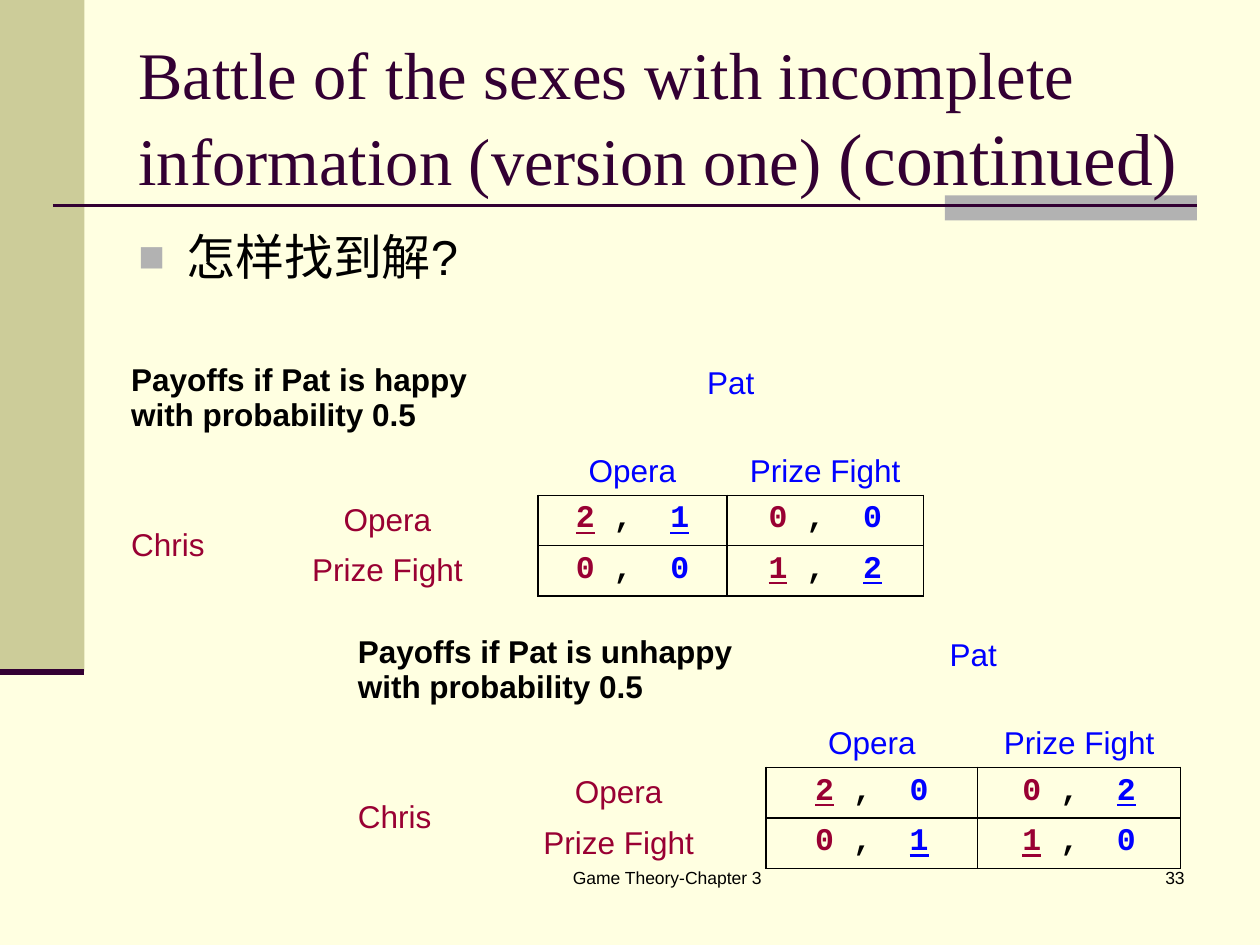
from pptx import Presentation
from pptx.dml.color import RGBColor
from pptx.enum.shapes import MSO_CONNECTOR as Conn, MSO_SHAPE as Kind
from pptx.enum.text import MSO_ANCHOR as Anchor, PP_ALIGN as Align
from pptx.oxml import parse_xml
from pptx.util import Inches, Pt

NS = 'xmlns:a="http://schemas.openxmlformats.org/drawingml/2006/main"'
HUE = {"page": "FFFFE1", "olive": "CCCC99", "gray": "B2B2B2", "plum": "330033",
       "black": "000000", "blue": "0000FF", "red": "990033"}


def write(para, text, size=18, font="Arial", hue="black", bold=False, under=False, align=Align.LEFT):
    para.alignment = align
    run = para.add_run()
    run.text = text
    run.font.size = Pt(size)
    run.font.name = font
    run.font.bold = bold
    run.font.underline = under
    run.font.color.rgb = RGBColor.from_string(HUE[hue])


def add_box(left, top, width, height, anchor=Anchor.TOP):
    frame = slide.shapes.add_textbox(Inches(left), Inches(top), Inches(width), Inches(height)).text_frame
    frame.word_wrap = True
    frame.vertical_anchor = anchor
    return frame.paragraphs[0]


deck = Presentation()
deck.slide_width, deck.slide_height = Inches(10), Inches(7.5)
slide = deck.slides.add_slide(deck.slide_layouts[6])
slide.background.fill.solid()
slide.background.fill.fore_color.rgb = RGBColor.from_string(HUE["page"])

for left, top, width, height, hue in [(0, 0, 0.67, 5.33, "olive"), (7.5, 1.55, 2, 0.2, "gray")]:
    bar = slide.shapes.add_shape(Kind.RECTANGLE, Inches(left), Inches(top), Inches(width), Inches(height))
    bar.shadow.inherit = False
    bar.fill.solid()
    bar.fill.fore_color.rgb = RGBColor.from_string(HUE[hue])
    bar.line.fill.background()

for start, end, top, weight in [(0.42, 9.5, 1.63, 1.5), (0, 0.67, 5.33, 3.5)]:
    rule = slide.shapes.add_connector(Conn.STRAIGHT, Inches(start), Inches(top), Inches(end), Inches(top))
    rule.line.color.rgb = RGBColor.from_string(HUE["plum"])
    rule.line.width = Pt(weight)
    rule._element.spPr.append(parse_xml(f"<a:effectLst {NS}/>"))

title = add_box(1, 0.3, 8.5, 1.25, Anchor.MIDDLE)
for text, size in [("Battle of the sexes with incomplete information (version one) ", 38), ("(continued)", 42)]:
    write(title, text, size=size, font="Times New Roman", hue="plum")

body = add_box(1, 1.75, 8.5, 0.73)
write(body, "怎样找到解?", size=28)
props = body._p.get_or_add_pPr()
props.set("marL", str(Inches(0.38)))
props.set("indent", str(Inches(-0.38)))
for mark in [f'<a:buClr {NS}><a:srgbClr val="{HUE["gray"]}"/></a:buClr>', f'<a:buSzPct {NS} val="90000"/>',
             f'<a:buFont {NS} typeface="Arial"/>', f'<a:buChar {NS} char="■"/>']:
    props.append(parse_xml(mark))

games = [
    ("unhappy", 2.74, 4.99, [1, 2.34, 1.68, 1.61], [["2_ 0", "0 2_"], ["0 1_", "1_ 0"]]),
    ("happy", 0.94, 2.83, [0.94, 2.39, 1.5, 1.56], [["2_ 1_", "0 0"], ["0 0", "1_ 2_"]]),
]
rows = [0.38, 0.66, 0.38, 0.38]
acts = ["Opera", "Prize Fight"]

for mood, left, top, cols, pays in games:
    grid = slide.shapes.add_table(4, 4, Inches(left), Inches(top), Inches(sum(cols)), Inches(sum(rows))).table
    grid.first_row = grid.horz_banding = False
    for i in range(4):
        grid.columns[i].width = Inches(cols[i])
        grid.rows[i].height = Inches(rows[i])
    for row in range(4):
        for col in range(4):
            cell = grid.cell(row, col)
            cell.fill.background()
            pay = row > 1 and col > 1
            sides = {"L": pay, "R": pay or (row > 1 and col == 1),
                     "T": pay, "B": pay or (row == 1 and col > 1)}
            for i, (side, drawn) in enumerate(sides.items()):
                fill = f'<a:solidFill><a:srgbClr val="{HUE["black"]}"/></a:solidFill>' if drawn else "<a:noFill/>"
                edge = parse_xml(f'<a:ln{side} {NS} w="{Pt(1)}">{fill}</a:ln{side}>')
                cell._tc.get_or_add_tcPr().insert(i, edge)
    for first, last in [((0, 0), (1, 1)), ((0, 2), (0, 3)), ((2, 0), (3, 0))]:
        grid.cell(*first).merge(grid.cell(*last))

    labels = [(0, 0, f"Payoffs if Pat is {mood} with probability 0.5", "black", Anchor.TOP),
              (0, 2, "Pat", "blue", Anchor.BOTTOM), (2, 0, "Chris", "red", Anchor.MIDDLE)]
    for i, act in enumerate(acts, 2):
        labels += [(1, i, act, "blue", Anchor.BOTTOM), (i, 1, act, "red", Anchor.MIDDLE)]
    for row, col, text, hue, anchor in labels:
        cell = grid.cell(row, col)
        cell.vertical_anchor = anchor
        write(cell.text_frame.paragraphs[0], text, hue=hue, bold=hue == "black",
              align=Align.CENTER if col else Align.LEFT)

    for row, line in enumerate(pays, 2):
        for col, pair in enumerate(line, 2):
            para = grid.cell(row, col).text_frame.paragraphs[0]
            chris, pat = pair.split()
            for text, hue in [(chris, "red"), (" ,  ", "black"), (pat, "blue")]:
                write(para, text.strip("_"), font="Courier New", hue=hue, bold=True,
                      under="_" in text, align=Align.CENTER)

write(add_box(3.67, 6.83, 3.25, 0.5), "Game Theory-Chapter 3", size=10, align=Align.CENTER)
write(add_box(7.42, 6.83, 2.08, 0.5), "33", size=10, align=Align.RIGHT)

deck.save("out.pptx")
